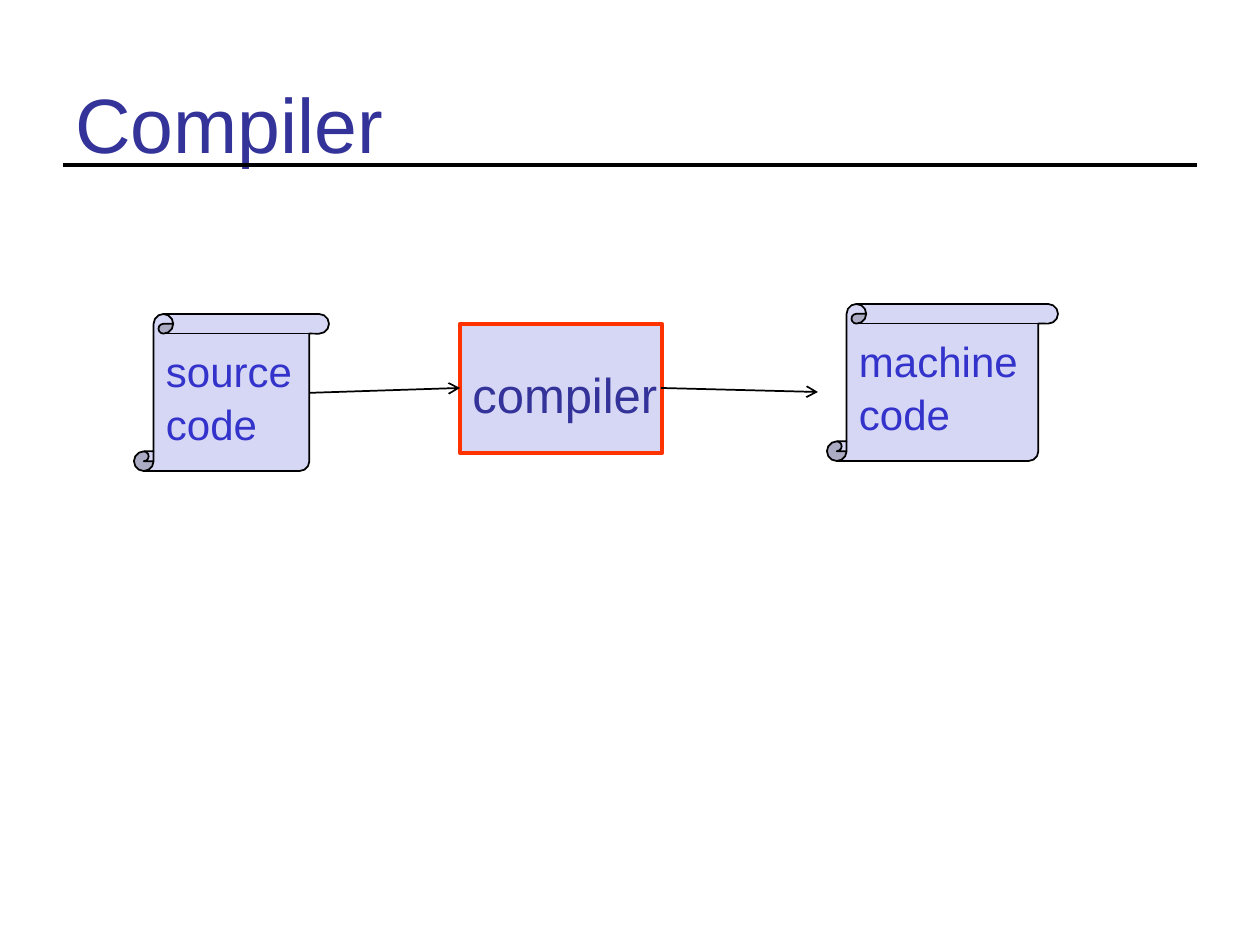
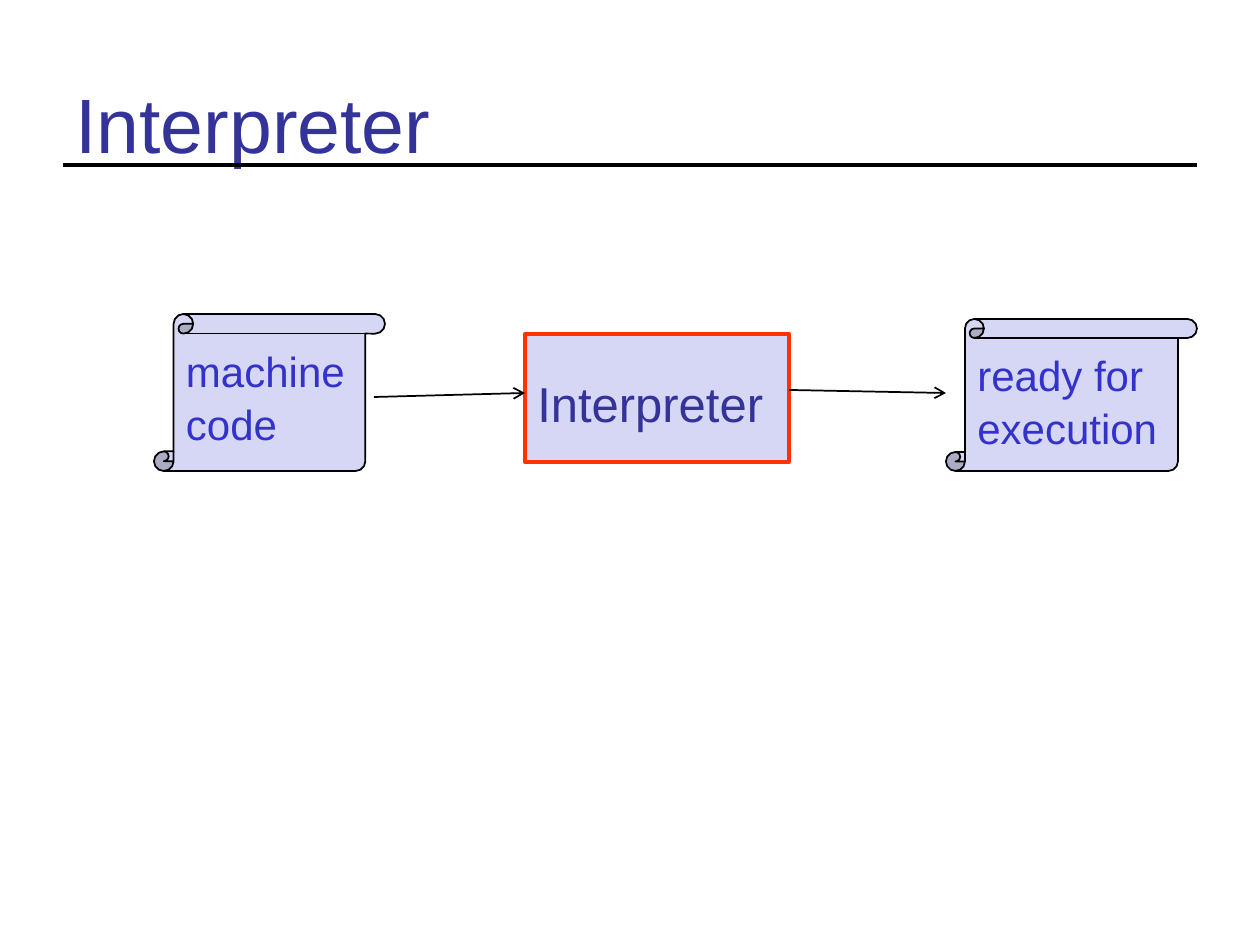
from pptx import Presentation, util as u
from pptx.dml.color import RGBColor
from pptx.enum import shapes, text
from pptx.oxml.ns import qn
from lxml import etree

PX = 914400 / 126  # EMU in one pixel
NAVY, BLUE, LILAC, RED, BLACK = "333399", "3333CC", "D6D6F5", "FF3300", "000000"


def color(code):
    return RGBColor.from_string(code)


def write(shape, content, size, ink, anchor, wrap=True, drop=0):
    """Fill a shape with left-aligned paragraphs; drop is extra top inset in pixels."""
    frame = shape.text_frame
    frame.text = content
    frame.word_wrap = wrap
    frame.vertical_anchor = anchor
    frame.margin_left = frame.margin_right = u.Inches(0.1)
    frame.margin_top = u.Inches(0.05) + round(drop * PX)
    frame.margin_bottom = u.Inches(0.05)
    for paragraph in frame.paragraphs:
        paragraph.alignment = text.PP_ALIGN.LEFT
        paragraph.line_spacing = 1.05
        paragraph.font.name = "Arial"
        paragraph.font.size = u.Pt(size)
        paragraph.font.color.rgb = color(ink)


prs = Presentation()
prs.slide_width, prs.slide_height = u.Inches(10), u.Inches(7.5)

RECT, SCROLL = shapes.MSO_SHAPE.RECTANGLE, shapes.MSO_SHAPE.VERTICAL_SCROLL
MIDDLE, TOP = text.MSO_ANCHOR.MIDDLE, text.MSO_ANCHOR.TOP
TITLE_BOX = (63, 38, 1134, 157)
TITLE_RULE = (63, 165, 1197, 165)

# Each slide: title, processing stage, input and output scrolls, two arrows
translations = [
    ("Compiler", ("compiler", (460, 324, 202, 129)),
     [("source\ncode", (134, 314, 195, 157)), ("machine\ncode", (827, 304, 231, 157))],
     [(305, 393, 460, 388), (661, 388, 818, 392)]),
    ("Interpreter", ("Interpreter", (525, 334, 264, 128)),
     [("machine\ncode", (154, 314, 231, 157)), ("ready for execution", (946, 319, 251, 152))],
     [(374, 397, 525, 393), (789, 390, 946, 393)]),
]

for title, stage, scrolls, arrows in translations:
    slide = prs.slides.add_slide(prs.slide_layouts[6])

    # Processing stage and title
    stage_text, stage_box = stage
    stage_rect = slide.shapes.add_shape(RECT, *[round(v * PX) for v in stage_box])
    write(stage_rect, stage_text, 28, NAVY, MIDDLE, wrap=False, drop=7)
    heading = slide.shapes.add_textbox(*[round(v * PX) for v in TITLE_BOX])
    write(heading, title, 44, NAVY, MIDDLE, drop=8)

    # Title rule and arrows
    for ends in [TITLE_RULE] + arrows:
        line = slide.shapes.add_connector(shapes.MSO_CONNECTOR.STRAIGHT,
                                          *[round(v * PX) for v in ends])
        line.line.color.rgb = color(BLACK)
        line.line.width = u.Pt(2 if ends == TITLE_RULE else 1)
        if ends != TITLE_RULE:
            etree.SubElement(line.line._get_or_add_ln(), qn("a:tailEnd"), type="arrow")
        etree.SubElement(line._element.spPr, qn("a:effectLst"))

    # Input and output scrolls
    outlined = [(stage_rect, RED, 2.5)]
    for scroll_text, box in scrolls:
        scroll = slide.shapes.add_shape(SCROLL, *[round(v * PX) for v in box])
        write(scroll, scroll_text, 24, BLUE, TOP, drop=3)
        outlined.append((scroll, BLACK, 1))

    # Shared fill and outline
    for shape, edge, width in outlined:
        shape.shadow.inherit = False
        shape.fill.solid()
        shape.fill.fore_color.rgb = color(LILAC)
        shape.line.color.rgb = color(edge)
        shape.line.width = u.Pt(width)

prs.save("out.pptx")
